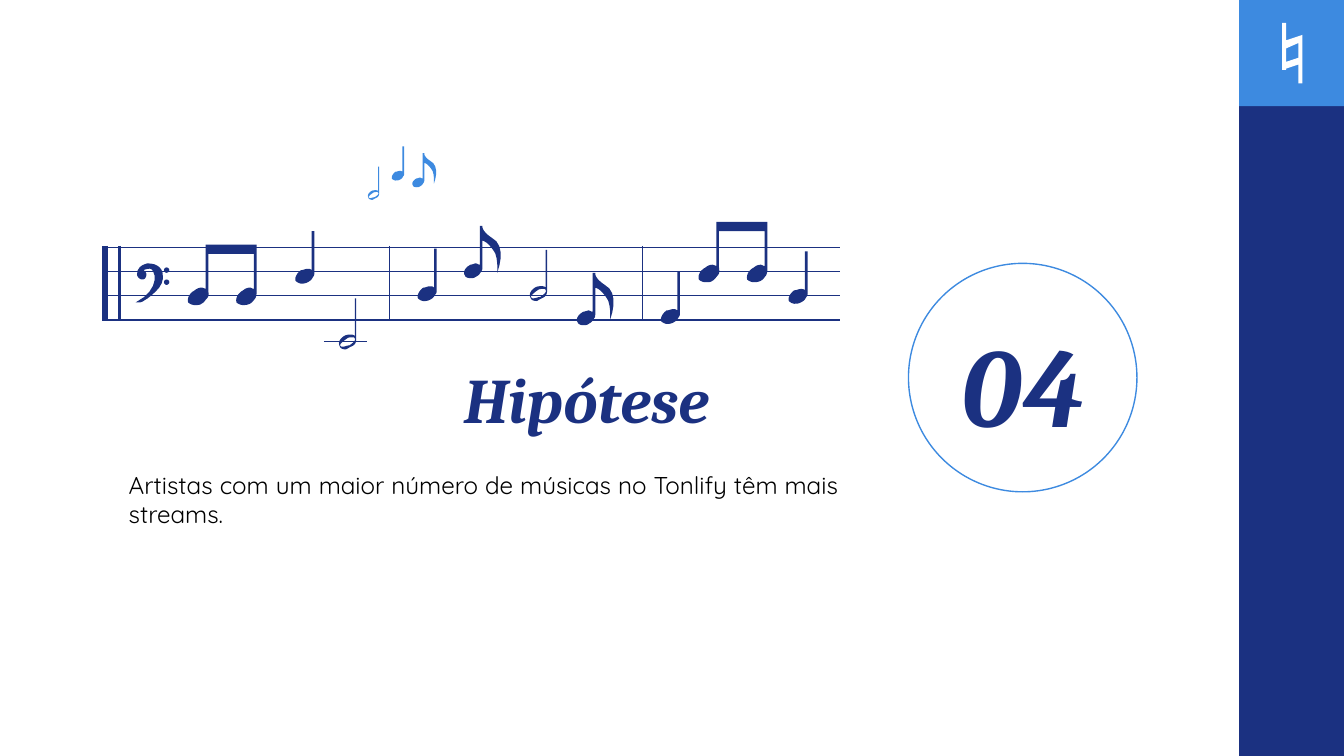
from dataclasses import dataclass

from lxml import etree
from pptx import Presentation
from pptx import util as u
from pptx.dml.color import RGBColor
from pptx.enum import shapes, text
from pptx.oxml.ns import qn

PX = 9144

QUARTER = """M 13 0 L 13 29 C 12 28 11 28 10 28 C 8 28 7 29 5 29 C 2 31 0 35 1 37
C 2 38 4 39 5 39 C 7 39 8 39 10 38 C 12 37 13 36 14 34 C 15 33 15 32 15 30 L 15 0"""
HALF = """M 11 29 C 12 29 13 29 13 30 C 14 31 12 33 9 35 C 7 35 6 36 4 36
C 3 36 3 36 2 35 C 2 34 4 32 7 30 C 8 29 10 29 11 29
M 13 0 L 13 28 C 12 27 11 27 10 27 C 8 27 7 27 5 28 C 2 30 0 33 2 36
C 2 37 4 38 6 38 C 7 38 8 37 10 36 C 13 35 14 33 14 31 L 14 0"""
EIGHTH = """M 13 0 L 13 29 C 12 29 11 28 10 28 C 9 28 7 29 6 29 C 2 31 0 35 2 37
C 2 38 4 39 6 39 C 7 39 9 39 10 38 C 12 37 13 36 14 34 C 15 33 15 32 15 30 L 15 11
C 18 12 20 14 23 18 C 27 22 26 35 26 35 C 30 24 30 13 22 9 C 16 5 15 2 15 1 L 15 0"""
BEAMED = """M 14 0 L 14 33 C 14 33 12 32 11 32 C 9 32 7 33 6 34 C 2 36 0 40 1 43
C 2 44 4 45 6 45 C 8 45 10 45 11 44 C 13 43 14 41 15 40 C 17 38 16 36 16 34
L 16 7 L 50 7 L 50 33 C 49 33 48 32 47 32 C 45 32 43 33 42 34 C 38 36 36 40 37 43
C 38 44 40 45 42 45 C 43 45 45 45 47 44 C 49 43 50 41 51 40 C 52 38 52 36 52 34 L 52 0"""
BASS_CLEF = """M 9 0 C 9 0 1 1 1 8 C 1 10 3 12 5 12 C 7 12 8 10 8 8 C 8 7 7 6 6 5
C 6 5 8 4 10 4 C 11 4 12 4 13 6 C 16 11 14 22 0 29 C 1 29 2 29 3 29
C 5 29 7 27 9 26 C 15 21 22 16 20 7 C 19 2 14 0 9 0"""
NATURAL = """M 12 15 L 12 26 L 3 29 L 3 19 M 0 0 L 0 35 L 3 35 L 3 34 L 12 31
L 12 45 L 15 45 L 15 9 L 3 13 L 3 0"""


@dataclass(frozen=True)
class Theme:
    """Colours, fonts and type sizes of the slide."""
    navy: str = "1B3181"
    sky: str = "3D8AE0"
    white: str = "FFFFFF"
    black: str = "000000"
    serif: str = "Cambria"
    sans: str = "Quicksand"
    title: int = 34
    number: int = 60
    body: int = 13


def contours(path, steps=6):
    """Turn a path of M, L and C commands into lists of points."""
    result = []
    tokens = path.replace("M", "|M").replace("L", "|L").replace("C", "|C").split("|")
    for command, *values in (token.split() for token in tokens if token.strip()):
        pts = list(zip(map(int, values[::2]), map(int, values[1::2])))
        if command == "M":
            result.append(pts)
        elif command == "L":
            result[-1] += pts
        else:
            curve = [result[-1][-1], *pts]
            for t in (i / steps for i in range(1, steps + 1)):
                weights = ((1 - t) ** 3, 3 * t * (1 - t) ** 2, 3 * t * t * (1 - t), t ** 3)
                result[-1].append(tuple(
                    sum(w * pt[axis] for w, pt in zip(weights, curve)) for axis in (0, 1)))
    return result


class Deck:
    """Draws styled elements on the current slide."""

    def __init__(self, prs, theme):
        """Add a title-only slide."""
        self.theme = theme
        self.s = prs.slides.add_slide(prs.slide_layouts[5])

    def paint(self, sp, fill=None, line=None):
        """Set the fill and outline of a shape."""
        sp.shadow.inherit = False
        if fill:
            sp.fill.solid()
            sp.fill.fore_color.rgb = RGBColor.from_string(fill)
        else:
            sp.fill.background()
        if line:
            sp.line.color.rgb = RGBColor.from_string(line)
            sp.line.width = u.Pt(0.75)
        else:
            sp.line.fill.background()

    def shape(self, kind, box, **colours):
        """Add a preset shape."""
        sp = self.s.shapes.add_shape(kind, *(v * PX for v in box))
        self.paint(sp, **colours)

    def line(self, x1, y1, x2, y2, width=0.75):
        """Add a straight navy line."""
        cx = self.s.shapes.add_connector(
            shapes.MSO_CONNECTOR.STRAIGHT, *(v * PX for v in (x1, y1, x2, y2)))
        cx.line.color.rgb = RGBColor.from_string(self.theme.navy)
        cx.line.width = u.Pt(width)
        etree.SubElement(cx.element.spPr, qn("a:effectLst"))

    def glyph(self, path, x, y, fill, scale=1):
        """Add a filled musical sign with its corner at x, y."""
        outlines = [[((x + px * scale) * PX, (y + py * scale) * PX) for px, py in pts]
                    for pts in contours(path)]
        builder = self.s.shapes.build_freeform(*outlines[0][0], scale=1.0)
        for i, pts in enumerate(outlines):
            if i:
                builder.move_to(*pts[0])
            builder.add_line_segments(pts[1:], close=True)
        self.paint(builder.convert_to_shape(), fill=fill)

    def text(self, box, content, align, anchor, colour, sp=None, **font):
        """Write a paragraph in a placeholder or a new text box."""
        left, top, width, height = (v * PX for v in box)
        sp = sp or self.s.shapes.add_textbox(left, top, width, height)
        for name, value in dict(left=left, top=top, width=width, height=height).items():
            setattr(sp, name, value)
        tf = sp.text_frame
        frame = dict(word_wrap=True, auto_size=text.MSO_AUTO_SIZE.NONE, vertical_anchor=anchor)
        frame |= {f"margin_{side}": 10 * PX for side in ("left", "top", "right", "bottom")}
        for name, value in frame.items():
            setattr(tf, name, value)
        p = tf.paragraphs[0]
        p.alignment = align
        r = p.add_run()
        r.text = content
        for name, value in font.items():
            setattr(r.font, name, value)
        r.font.color.rgb = RGBColor.from_string(colour)


def main():
    """Build the section slide."""
    prs = Presentation()
    prs.slide_width = 1000 * PX
    prs.slide_height = prs.slide_width * 9 // 16
    theme = Theme()
    deck = Deck(prs, theme)
    kind, align, anchor = shapes.MSO_SHAPE, text.PP_ALIGN, text.MSO_ANCHOR

    deck.shape(kind.RECTANGLE, (922, 0, 78, 563), fill=theme.navy)
    deck.shape(kind.RECTANGLE, (922, 0, 78, 79), fill=theme.sky)
    deck.glyph(NATURAL, 954, 17, theme.white)

    for i in range(4):
        deck.line(78, 184 + 18 * i, 625, 184 + 18 * i)
    for x, width in ((78, 3), (89, 1.5), (290, 0.75), (478, 0.75)):
        deck.line(x, 183, x, 239, width)
    deck.line(241, 254, 273, 254)

    deck.glyph(BASS_CLEF, 101, 196, theme.navy)
    for y in (199, 208):
        deck.shape(kind.OVAL, (122, y, 4, 4), fill=theme.navy)

    melody = ((BEAMED, 139, 182), (QUARTER, 219, 172), (HALF, 251, 222),
              (QUARTER, 310, 185), (EIGHTH, 344, 168), (HALF, 393, 186),
              (EIGHTH, 428, 203), (QUARTER, 491, 202), (BEAMED, 519, 165),
              (QUARTER, 586, 187))
    for note in melody:
        deck.glyph(*note, theme.navy)
    for note in ((HALF, 273, 124), (QUARTER, 291, 109), (EIGHTH, 306, 114)):
        deck.glyph(*note, theme.sky, scale=0.65)

    deck.shape(kind.OVAL, (676, 196, 170, 170), line=theme.sky)
    heading = dict(name=theme.serif, bold=True, italic=True)
    deck.text((258, 252, 368, 88), "Hipótese ", align.CENTER, anchor.MIDDLE, theme.navy,
              sp=deck.s.shapes.title, size=u.Pt(theme.title), **heading)
    deck.text((687, 241, 149, 87), "04", align.CENTER, anchor.MIDDLE, theme.navy,
              size=u.Pt(theme.number), **heading)
    deck.text((86, 340, 547, 70),
              "Artistas com um maior número de músicas no Tonlify têm mais streams.",
              align.JUSTIFY, anchor.TOP, theme.black,
              name=theme.sans, size=u.Pt(theme.body))

    prs.save("out.pptx")


if __name__ == "__main__":
    main()
